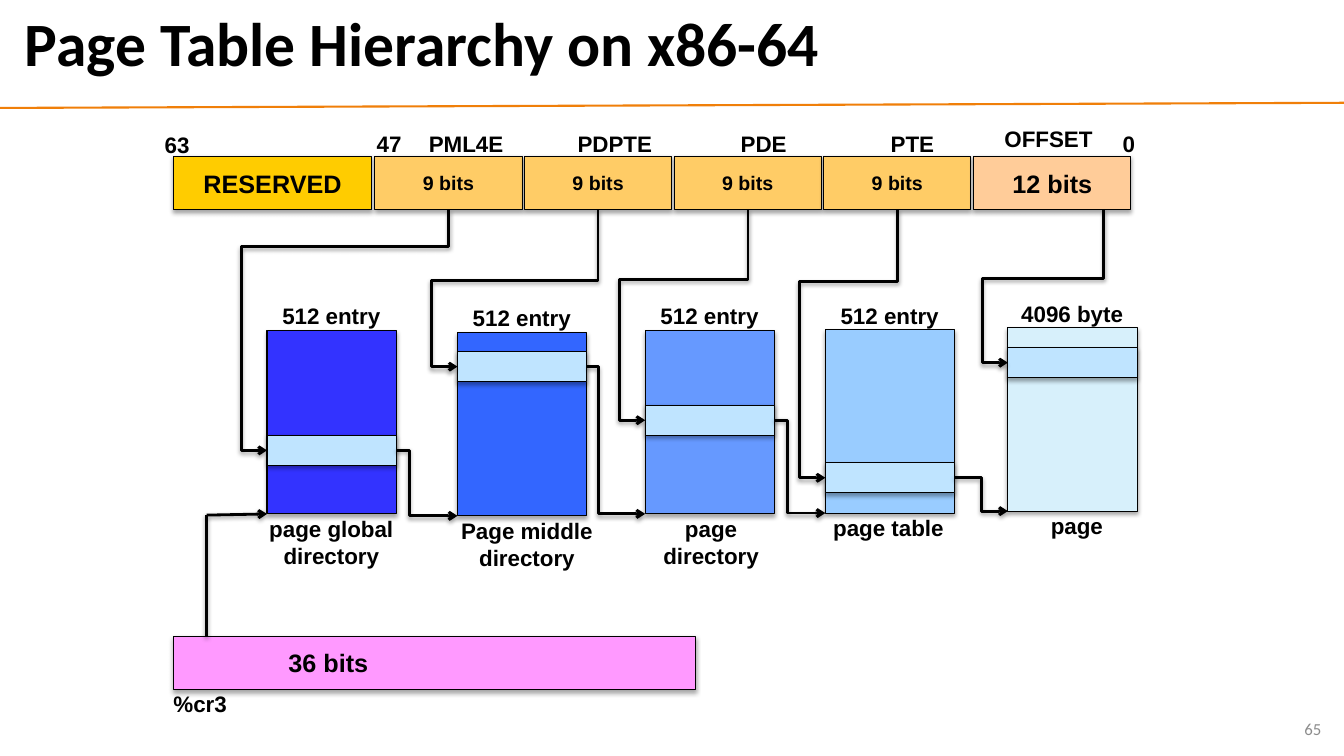
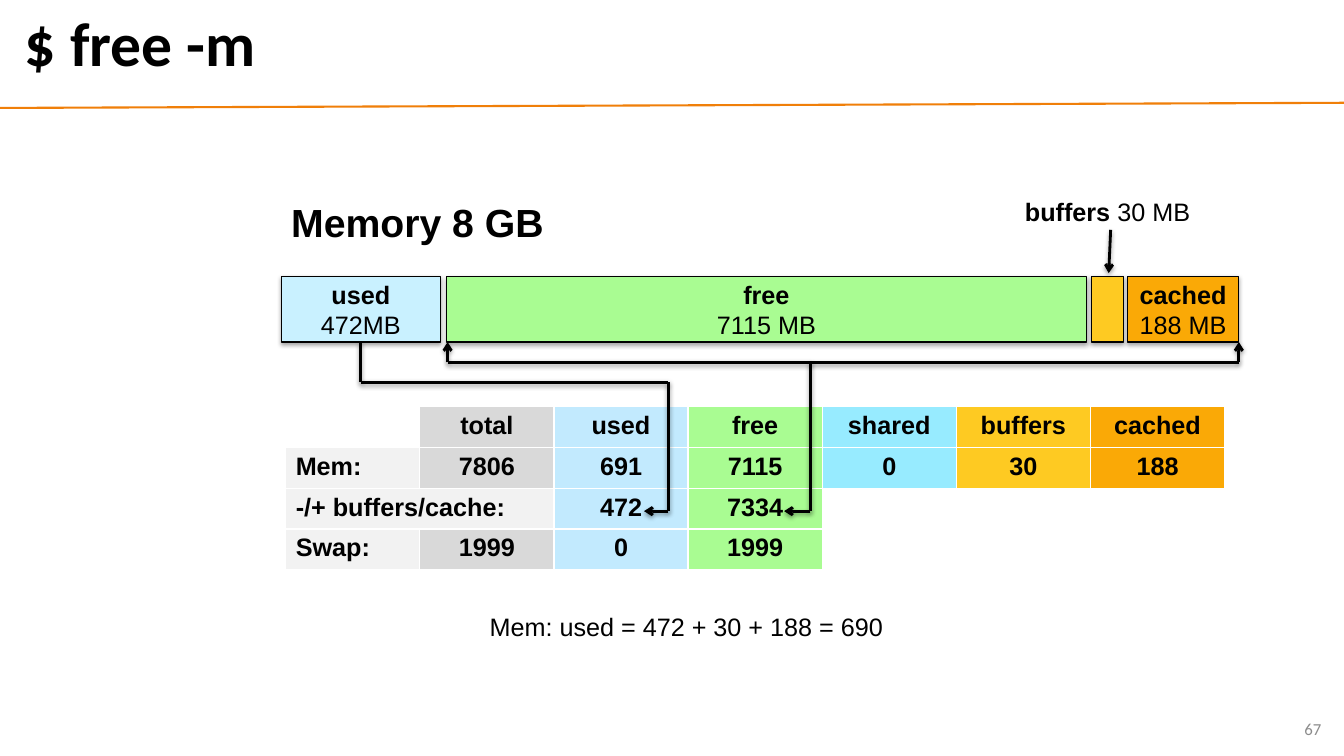
from pptx import Presentation
from pptx.dml.color import RGBColor
from pptx.enum.shapes import MSO_CONNECTOR, MSO_SHAPE
from pptx.enum.text import MSO_ANCHOR, PP_ALIGN
from pptx.oxml import parse_xml
from pptx.oxml.ns import nsdecls, qn
from pptx.util import Cm, Pt

COLORS = {
    "ink": "000000", "rule": "F07F09", "number": "8C8C8C", "white": "FFFFFF",
    "reserved": "FFCC00", "index": "FFCC66", "offset": "FFCC99", "register": "FF99FF",
    "global": "3333FF", "middle": "3366FF", "directory": "6699FF", "table": "99CCFF",
    "page": "D7F0FB", "entry": "BFE4FF", "used bar": "C9F1FF", "label": "F2F2F2",
    "total": "D9D9D9", "used": "C2EAFE", "free": "A9FC92", "shared": "97EBFF",
    "buffers": "FECA22", "cached": "FAA906",
}
RGB = {name: RGBColor.from_string(value) for name, value in COLORS.items()}
BOLD = {"name": "Arial", "size": Pt(18), "bold": True}
PLAIN = {**BOLD, "bold": False}
SMALL = {**BOLD, "size": Pt(16)}
TITLE = {"name": "Calibri", "size": Pt(44), "bold": True}
NUMBER = {"name": "Calibri", "size": Pt(12), "bold": False}
LEFT, CENTER, RIGHT = PP_ALIGN.LEFT, PP_ALIGN.CENTER, PP_ALIGN.RIGHT


def block(slide, box, lines=(), fill=None, align=CENTER, anchor=MSO_ANCHOR.TOP,
          color="ink", indent=0.25):
    """Place a filled box or plain text; each line is a list of (text, format)."""
    place = [Cm(value) for value in box]
    if fill:
        shape = slide.shapes.add_shape(MSO_SHAPE.RECTANGLE, *place)
        shape.fill.solid()
        shape.fill.fore_color.rgb = RGB[fill]
        shape.line.color.rgb = RGB["ink"]
        shape.line.width = Pt(0.75)
        shape.shadow.inherit = False
        shape.element.spPr.find(qn("a:effectLst")).append(parse_xml(
            f'<a:outerShdw {nsdecls("a")} blurRad="40000" dist="23000" dir="5400000" '
            'rotWithShape="0"><a:srgbClr val="000000"><a:alpha val="35000"/>'
            '</a:srgbClr></a:outerShdw>'))
        anchor = MSO_ANCHOR.MIDDLE
    else:
        shape = slide.shapes.add_textbox(*place)
    frame = shape.text_frame
    settings = {"word_wrap": True, "vertical_anchor": anchor, "margin_left": Cm(indent)}
    for attribute, value in settings.items():
        setattr(frame, attribute, value)
    for i, line in enumerate(lines):
        paragraph = frame.add_paragraph() if i else frame.paragraphs[0]
        paragraph.alignment = align
        for text, font in line:
            run = paragraph.add_run()
            run.text = text
            run.font.color.rgb = RGB[color]
            for attribute, value in font.items():
                setattr(run.font, attribute, value)
    return shape


def wire(slide, points, arrow=True):
    """Join 2 points straight, 4 by across-down-across, 5 by down-across-down-across."""
    (x1, y1), (x2, y2) = points[0], points[-1]
    ends, adjust = (x1, y1, x2, y2), []
    if len(points) == 4:
        adjust = [(points[1][0] - x1) / (x2 - x1)]
    elif len(points) == 5:
        # The box lies on its side, then turns by a quarter
        long, short = y2 - y1, x1 - x2
        left, top = (x1 + x2 - long) / 2, (y1 + y2 - short) / 2
        ends = (left, top, left + long, top + short)
        adjust = [(points[1][1] - y1) / long, (x1 - points[2][0]) / short]
    kind = MSO_CONNECTOR.ELBOW if adjust else MSO_CONNECTOR.STRAIGHT
    connector = slide.shapes.add_connector(kind, *[Cm(value) for value in ends])
    connector.line.color.rgb = RGB["ink"]
    connector.line.width = Pt(2)
    properties = connector.element.spPr
    if adjust:
        geometry = properties.find(qn("a:prstGeom"))
        geometry.set("prst", f"bentConnector{len(points) - 1}")
        guides = geometry.get_or_add_avLst()
        for i, share in enumerate(adjust, 1):
            guides.append(parse_xml(f'<a:gd {nsdecls("a")} name="adj{i}" '
                                    f'fmla="val {round(share * 100000)}"/>'))
    if len(points) == 5:
        properties.find(qn("a:xfrm")).set("rot", "5400000")
    if arrow:
        properties.find(qn("a:ln")).append(
            parse_xml(f'<a:tailEnd {nsdecls("a")} type="arrow"/>'))
    properties.append(parse_xml(
        f'<a:effectLst {nsdecls("a")}><a:outerShdw blurRad="40000" dist="20000" '
        'dir="5400000" rotWithShape="0"><a:srgbClr val="000000"><a:alpha val="38000"/>'
        '</a:srgbClr></a:outerShdw></a:effectLst>'))


deck = Presentation()
deck.slide_width, deck.slide_height = Cm(33.87), Cm(19.05)

# Shared title, rule and slide number
slides = []
for title, number in (("Page Table Hierarchy on x86-64", "65"), ("$ free -m", "67")):
    slide = deck.slides.add_slide(deck.slide_layouts[6])
    rule = slide.shapes.add_connector(
        MSO_CONNECTOR.STRAIGHT, Cm(0), Cm(2.72), Cm(33.87), Cm(2.59))
    rule.line.color.rgb = RGB["rule"]
    rule.line.width = Pt(1.5)
    rule.element.spPr.append(parse_xml(f'<a:effectLst {nsdecls("a")}/>'))
    heading = block(slide, (0.38, 0.13, 32.74, 2.11), [[(title, TITLE)]],
                    align=LEFT, anchor=MSO_ANCHOR.MIDDLE)
    heading.text_frame.paragraphs[0].line_spacing = 0.9
    block(slide, (25.93, 17.86, 7.62, 1.02), [[(number, NUMBER)]],
          align=RIGHT, anchor=MSO_ANCHOR.MIDDLE, color="number")
    slides.append(slide)
hierarchy, memory = slides

# Address fields
FIELD_TOP, FIELD_HEIGHT, FIELD_STEP = 3.94, 1.35, 3.77
fields = [(4.37, 5, "RESERVED", "reserved", BOLD)]
fields += [(9.45 + i * FIELD_STEP, 3.71, "9 bits", "index", {**BOLD, "size": Pt(14)})
           for i in range(4)]
fields += [(24.54, 3.96, "12 bits", "offset", BOLD)]
for left, width, text, fill, font in fields:
    block(hierarchy, (left, FIELD_TOP, width, FIELD_HEIGHT), [[(text, font)]], fill)

# Field names and bit positions
captions = [("63", 3.73, 3.18, 1.47), ("47", 9.07, 3.15, 1.47),
            ("OFFSET", 24.94, 3.02, 2.97), ("0", 27.81, 3.15, 1.27)]
captions += [(name, 10.26 + i * 3.75, 3.16, 2.97)
             for i, name in enumerate(("PML4E", "PDPTE", "PDE", "PTE"))]
for text, left, top, width in captions:
    block(hierarchy, (left, top, width, 0.94), [[(text, SMALL)]])

# Register that holds the root of the hierarchy
block(hierarchy, (4.37, 16.03, 13.16, FIELD_HEIGHT), [[("36 bits", BOLD)]],
      "register", LEFT, indent=2.9)
block(hierarchy, (4.04, 17.27, 2.01, 0.94), [[("%cr3", SMALL)]])

# Levels: left, top, entry top, fill, size, name, name left, name width,
# field exit, turn height, link offset
LEVEL_WIDTH, LEVEL_HEIGHT, ENTRY_HEIGHT = 3.26, 4.62, 0.76
levels = [
    (6.73, 8.33, 10.97, "global", "512 entry", "page global directory",
     6.32, 4.06, 11.3, 6.22, 0.33),
    (11.53, 8.38, 8.86, "middle", "512 entry", "Page middle directory",
     11.25, 4.06, 15.07, 7.06, 0.29),
    (16.26, 8.33, 10.21, "directory", "512 entry", "page directory",
     16.13, 3.58, 18.85, 7.04, 0.33),
    (20.8, 8.31, 11.66, "table", "512 entry", "page table",
     20.6, 3.58, 22.61, 7.09, 0.68),
    (25.4, 8.26, 8.76, "page", "4096 byte", "page",
     25.35, 3.58, 27.81, 7.01, None),
]
for i, level in enumerate(levels):
    left, top, entry, fill, size, name, name_left, name_width, exit_x, turn, link = level
    middle, bottom = entry + ENTRY_HEIGHT / 2, top + LEVEL_HEIGHT
    block(hierarchy, (left, top, LEVEL_WIDTH, LEVEL_HEIGHT), fill=fill)
    block(hierarchy, (left, entry, LEVEL_WIDTH, ENTRY_HEIGHT), fill="entry")
    block(hierarchy, (left - 0.17, top - 0.83, 3.58, 0.94), [[(size, SMALL)]])
    block(hierarchy, (name_left, bottom - 0.1, name_width, 1.63), [[(name, SMALL)]])
    wire(hierarchy, [(exit_x, FIELD_TOP + FIELD_HEIGHT), (exit_x, turn),
                     (left - 0.65, turn), (left - 0.65, middle), (left, middle)])
    if link:
        start, end = left + LEVEL_WIDTH, levels[i + 1][0]
        next_bottom = levels[i + 1][1] + LEVEL_HEIGHT
        wire(hierarchy, [(start, middle), (start + link, middle),
                         (start + link, next_bottom), (end, next_bottom)])
wire(hierarchy, [(5.21, 16.03), (5.21, 12.98)], arrow=False)
wire(hierarchy, [(5.21, 12.98), (6.73, 12.95)])

# Output of the command
rows = [
    ("", "total", "used", "free", "shared", "buffers", "cached"),
    ("Mem:", "7806", "691", "7115", "0", "30", "188"),
    ("-/+ buffers/cache:", "", "472", "7334", "", "", ""),
    ("Swap:", "1999", "0", "1999", "", "", ""),
]
columns = ("label",) + rows[0][1:]
report = memory.shapes.add_table(
    len(rows), len(columns), Cm(7.2), Cm(10.24), Cm(23.66), Cm(4.12)).table
for column in report.columns:
    column.width = Cm(3.38)
report.cell(2, 0).merge(report.cell(2, 1))
for r, row in enumerate(rows):
    for c, text in enumerate(row):
        cell = report.cell(r, c)
        cell.fill.solid()
        cell.fill.fore_color.rgb = RGB[columns[c] if text else "white"]
        if text:
            paragraph = cell.text_frame.paragraphs[0]
            paragraph.alignment = CENTER if c else LEFT
            run = paragraph.add_run()
            run.text = text
            run.font.color.rgb = RGB["ink"]
            for attribute, value in BOLD.items():
                setattr(run.font, attribute, value)

# Memory bar
for left, width, fill, name, amount in (
        (7.09, 4.01, "used bar", "used", "472MB"),
        (28.42, 2.79, "cached", "cached", "188 MB"),
        (27.51, 0.81, "buffers", "", ""),
        (11.25, 16.13, "free", "free", "7115 MB")):
    lines = [[(name, BOLD)], [(amount, PLAIN)]] if name else []
    block(memory, (left, 6.96, width, 1.66), lines, fill)

# Texts around the bar
for box, line in (
        ((7.09, 4.88, 7.06, 1.45), [("Memory 8 GB", {**BOLD, "size": Pt(28)})]),
        ((25.58, 4.83, 4.83, 1.02), [("buffers", BOLD), (" 30 MB", PLAIN)]),
        ((12.09, 15.27, 12.34, 1.02), [("Mem: used = 472 + 30 + 188 = 690", PLAIN)])):
    block(memory, box, [line], align=LEFT)

# Arrows from the bar to the figures, each with its head on the last stretch
for route in (
        [(27.99, 5.79), (27.94, 6.88)],
        [(9.09, 8.62), (9.09, 9.63), (16.84, 9.63), (16.84, 12.88), (16.23, 12.88)],
        [(20.42, 9.13), (11.28, 9.13), (11.28, 8.62)],
        [(20.42, 9.13), (31.22, 9.13), (31.22, 8.62)],
        [(20.42, 9.13), (20.42, 12.88), (19.76, 12.88)]):
    for start, end in zip(route, route[1:]):
        wire(memory, [start, end], arrow=end == route[-1])

deck.save("out.pptx")
